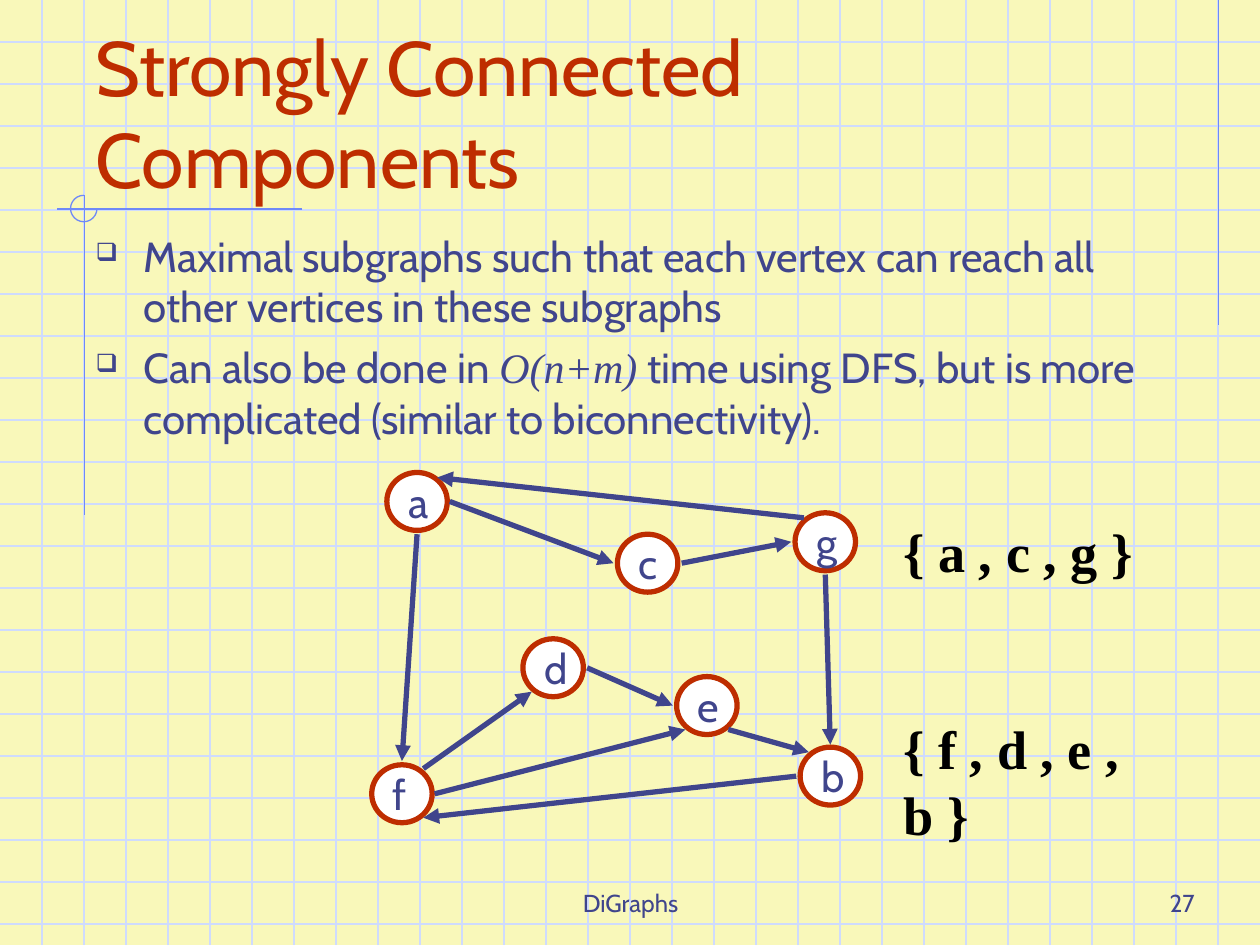
from lxml.etree import SubElement
from pptx import Presentation
from pptx.dml.color import RGBColor
from pptx.enum.shapes import MSO_CONNECTOR, MSO_SHAPE
from pptx.enum.text import MSO_ANCHOR, MSO_AUTO_SIZE, PP_ALIGN
from pptx.oxml.ns import qn
from pptx.util import Inches, Pt

PAPER = RGBColor(0xF9, 0xF8, 0xBA)
GRID = RGBColor(0xCF, 0xDB, 0xFD)
RULE = RGBColor(0x6F, 0x89, 0xF7)
INK = RGBColor(0x40, 0x45, 0x8C)
RUST = RGBColor(0xBE, 0x2D, 0x00)
WHITE = RGBColor(0xFF, 0xFF, 0xFF)
BLACK = RGBColor(0x00, 0x00, 0x00)
SANS, SERIF = "Cabin", "Times New Roman"

prs = Presentation()
prs.slide_width, prs.slide_height = Inches(10), Inches(7.5)
slide = prs.slides.add_slide(prs.slide_layouts[6])
slide.background.fill.solid()
slide.background.fill.fore_color.rgb = PAPER


def add_line(start, end, color, width=0.75, arrow=False):
    line = slide.shapes.add_connector(
        MSO_CONNECTOR.STRAIGHT, *(Inches(v) for v in (*start, *end)))
    line.line.color.rgb = color
    line.line.width = Pt(width)
    if arrow:
        SubElement(line.line._get_or_add_ln(), qn("a:tailEnd"), type="triangle")
    SubElement(line._element.spPr, qn("a:effectLst"))


def add_text(box, text, size, color, font=SANS, anchor=MSO_ANCHOR.TOP,
             align=PP_ALIGN.LEFT):
    frame = slide.shapes.add_textbox(*(Inches(v) for v in box)).text_frame
    frame.word_wrap = True
    frame.vertical_anchor = anchor
    frame.text = text
    for paragraph in frame.paragraphs:
        paragraph.alignment = align
        for run in paragraph.runs:
            run.font.size = Pt(size)
            run.font.name = font
            run.font.color.rgb = color
    return frame


# Graph paper, one line every third of an inch
for i in range(1, 23):
    add_line((0, i / 3), (10, i / 3), GRID)
for i in range(1, 30):
    add_line((i / 3, 0), (i / 3, 7.5), GRID)

# Margin rules and the small arc where they cross
add_line((9.67, 0), (9.67, 2.58), RULE)
add_line((2.4, 1.66), (0.45, 1.66), RULE)
add_line((0.67, 1.55), (0.67, 4.09), RULE)
arc = slide.shapes.add_shape(MSO_SHAPE.ARC, Inches(0.56), Inches(1.55),
                             Inches(0.21), Inches(0.21))
arc.adjustments[0], arc.adjustments[1] = 0, 162  # clockwise from right to top
arc.shadow.inherit = False
arc.fill.background()
arc.line.color.rgb = RULE
arc.line.width = Pt(0.75)

# Footer and page number
add_text((3.42, 6.83, 3.17, 0.5), "DiGraphs", 14, INK,
         anchor=MSO_ANCHOR.BOTTOM, align=PP_ALIGN.CENTER)
add_text((7.5, 6.83, 2.08, 0.5), "27", 14, INK,
         anchor=MSO_ANCHOR.BOTTOM, align=PP_ALIGN.RIGHT)

# Title
add_text((0.66, 0.17, 8.09, 1.5), "Strongly Connected Components", 44, RUST,
         anchor=MSO_ANCHOR.BOTTOM)

# Bullets
bullets = add_text(
    (0.66, 1.78, 8.51, 2.63),
    "Maximal subgraphs such that each vertex can reach all other vertices "
    "in these subgraphs\nCan also be done in ", 24, INK)
running_time = bullets.paragraphs[1]
for text, font, italic in [
    ("O(n+m) ", SERIF, True),
    ("time using DFS, but is more complicated (similar to biconnectivity).",
     SANS, False),
]:
    run = running_time.add_run()
    run.text = text
    run.font.size = Pt(24)
    run.font.name = font
    run.font.italic = italic
    run.font.color.rgb = INK
for paragraph in bullets.paragraphs:
    props = paragraph._p.get_or_add_pPr()
    props.set("marL", str(Inches(0.38)))
    props.set("indent", str(-Inches(0.38)))
    bullet_color = SubElement(props, qn("a:buClr"))
    SubElement(bullet_color, qn("a:srgbClr"), val=str(INK))
    SubElement(props, qn("a:buSzPct"), val="60000")
    SubElement(props, qn("a:buChar"), char="❑")
running_time.space_before = Pt(6)

# Component sets, each on one line in a box that grows with its text
for top, width, members in [(4.11, 1.82, "{ a , c , g }"),
                            (5.68, 2.33, "{ f , d , e , b }")]:
    component = add_text((7.17, top, width, 0.52), members, 31, BLACK, SERIF)
    component.word_wrap = False
    component.auto_size = MSO_AUTO_SIZE.SHAPE_TO_FIT_TEXT
    component.margin_left = component.margin_right = 0
    component.margin_top = component.margin_bottom = 0
    component.paragraphs[0].runs[0].font.bold = True

# Vertices
vertices = {"a": (3.07, 3.75), "d": (4.15, 5.07), "c": (4.9, 4.24),
            "b": (6.35, 5.93), "e": (5.37, 5.37), "f": (2.95, 6.07),
            "g": (6.31, 4.07)}
for name, (left, top) in vertices.items():
    vertex = slide.shapes.add_shape(MSO_SHAPE.OVAL, Inches(left), Inches(top),
                                    Inches(0.48), Inches(0.46))
    vertex.shadow.inherit = False
    vertex.fill.solid()
    vertex.fill.fore_color.rgb = WHITE
    vertex.line.color.rgb = RUST
    vertex.line.width = Pt(3)
    label = vertex.text_frame
    label.word_wrap = False
    label.vertical_anchor = MSO_ANCHOR.MIDDLE
    label.text = name
    font = label.paragraphs[0].runs[0].font
    font.size = Pt(24)
    font.name = SANS
    font.color.rgb = INK

# Directed edges
edges = [
    ((3.31, 4.24), (3.19, 6.04)),  # a to f
    ((3.57, 3.98), (4.87, 4.47)),  # a to c
    ((6.38, 4.11), (3.47, 3.79)),  # g to a
    ((5.41, 4.47), (6.28, 4.3)),   # c to g
    ((6.55, 4.56), (6.59, 5.91)),  # g to b
    ((4.66, 5.3), (5.34, 5.6)),    # d to e
    ((5.78, 5.79), (6.42, 5.97)),  # e to b
    ((3.36, 6.1), (4.22, 5.49)),   # f to d
    ((3.45, 6.3), (5.44, 5.79)),   # f to e
    ((6.32, 6.16), (3.36, 6.49)),  # b to f
]
for start, end in edges:
    add_line(start, end, INK, 3, arrow=True)

prs.save("out.pptx")
